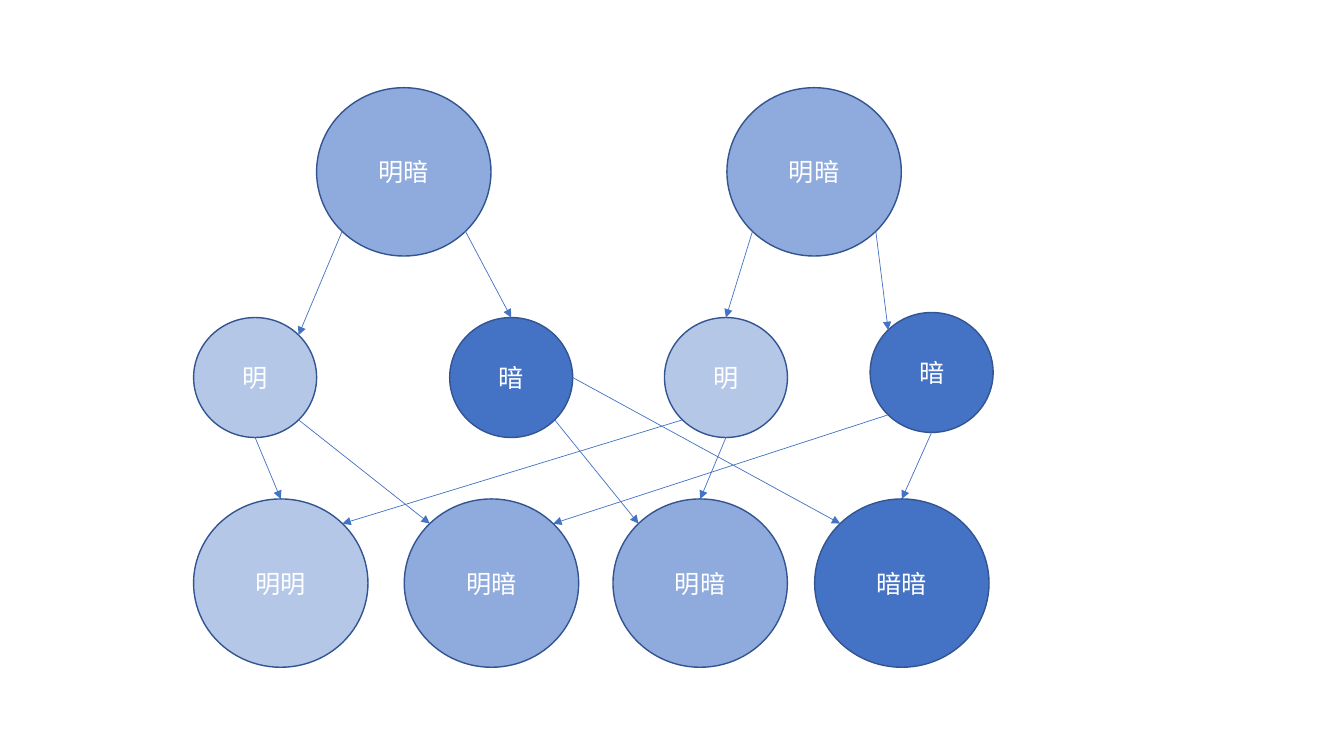
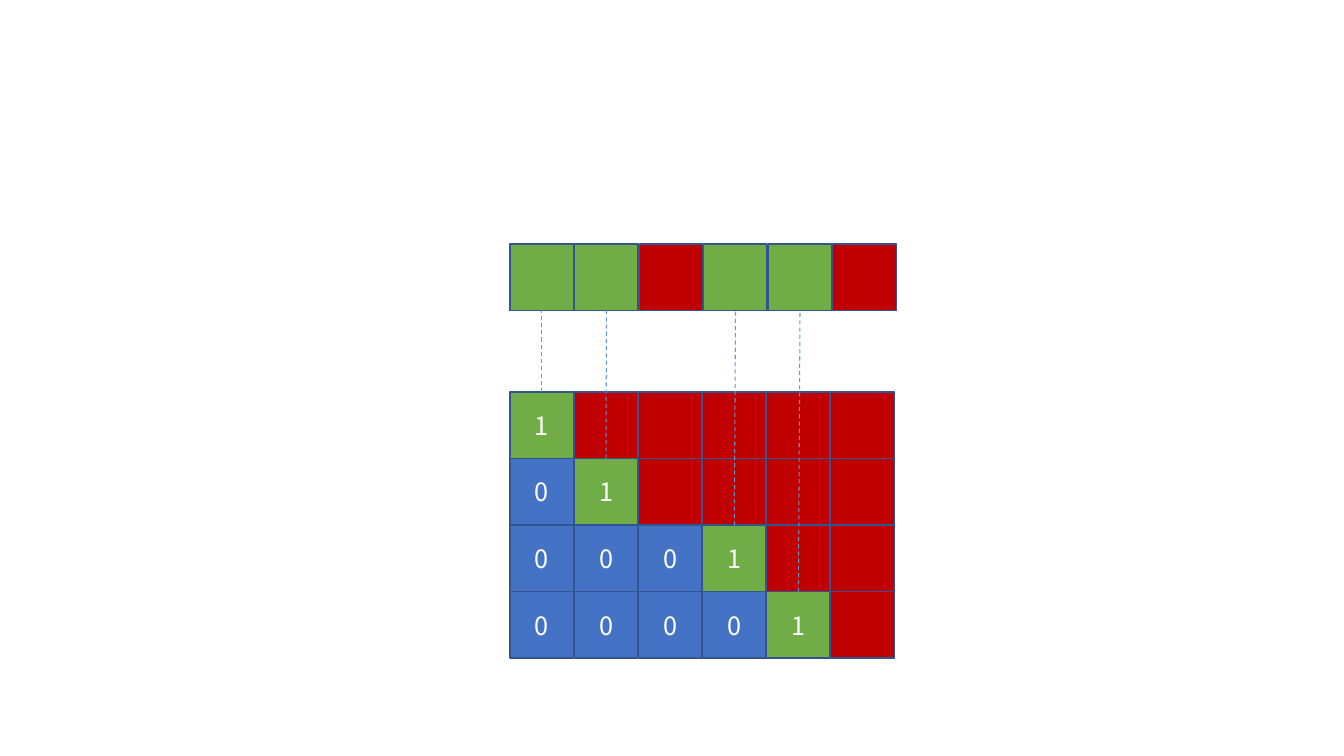
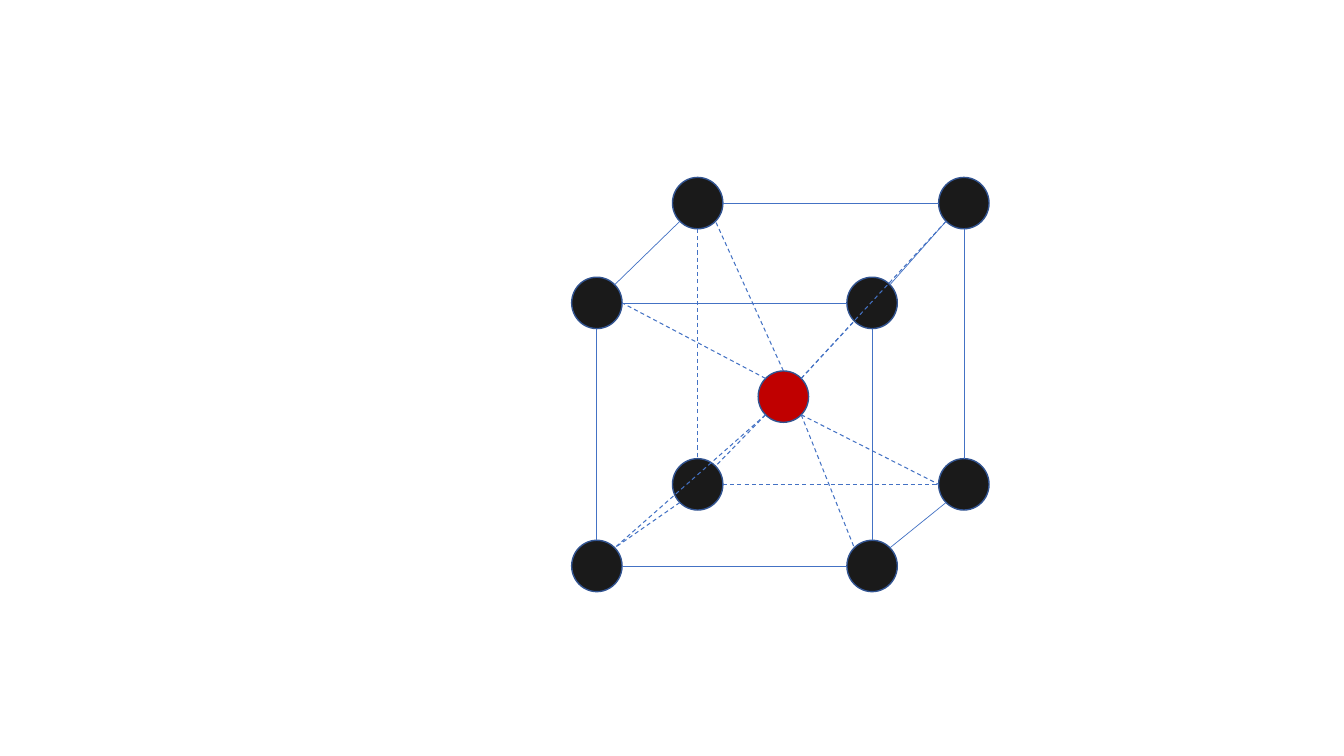
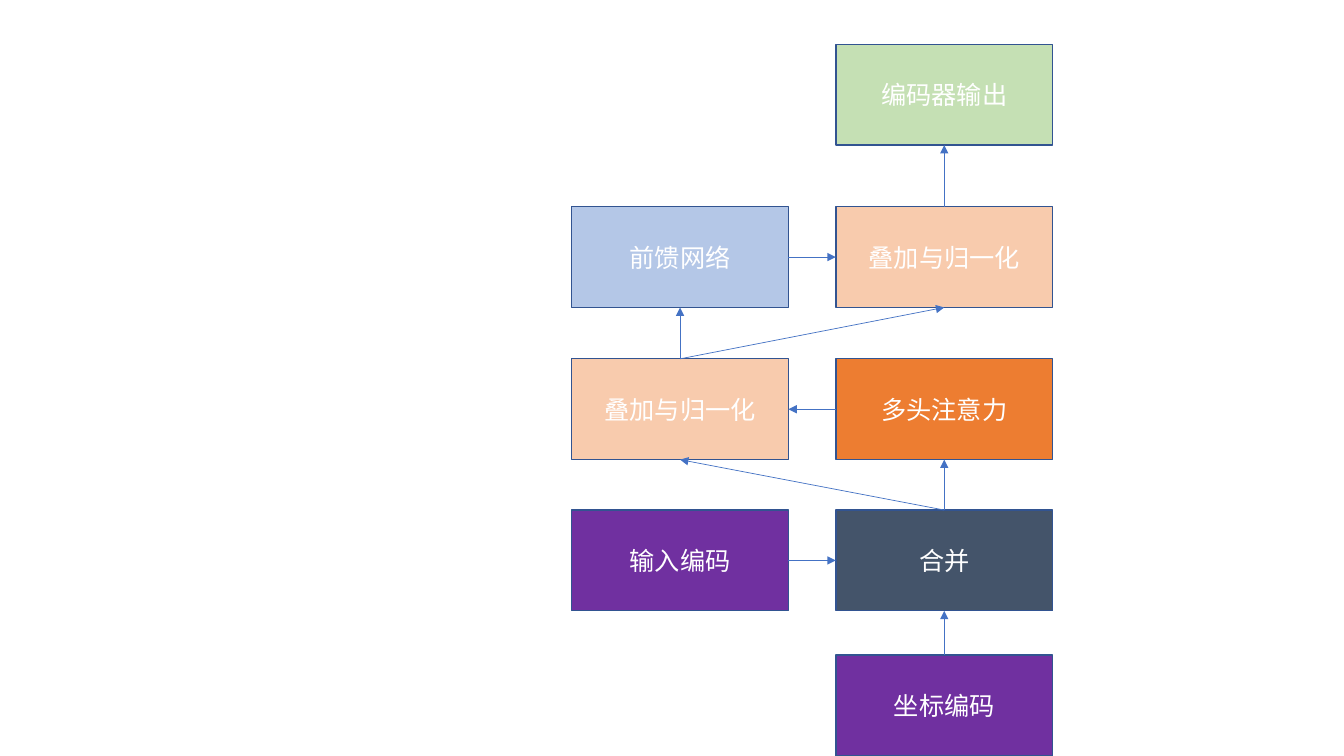
from dataclasses import dataclass
from math import sqrt

from lxml.etree import SubElement
from pptx import Presentation
from pptx.dml.color import RGBColor
from pptx.enum.dml import MSO_LINE
from pptx.enum.shapes import MSO_CONNECTOR, MSO_SHAPE
from pptx.enum.text import MSO_ANCHOR, PP_ALIGN
from pptx.oxml.ns import qn
from pptx.util import Inches, Pt


@dataclass(frozen=True)
class Theme:
    font: str = "Noto Sans CJK SC"
    text_size: float = 18
    outline_width: float = 1
    line_width: float = 0.5
    dash_width: float = 0.75
    white: str = "FFFFFF"
    outline: str = "325491"
    blue: str = "4472C4"
    mid_blue: str = "8FAADC"
    pale_blue: str = "B4C7E7"
    sky: str = "5B9BD5"
    green: str = "70AD47"
    pale_green: str = "C5E0B4"
    red: str = "C00000"
    black: str = "1A1A1A"
    purple: str = "7030A0"
    slate: str = "44546A"
    orange: str = "ED7D31"
    peach: str = "F8CBAD"


@dataclass(frozen=True)
class Box:
    """A region in inches; boxes inside it are placed from its corner."""
    left: float
    top: float
    width: float
    height: float

    def inner(self, x, y, width, height):
        return Box(self.left + x, self.top + y, width, height)


THEME = Theme()
DIAGONAL = sqrt(0.5)

# Direction of each connection site, seen from the centre of a shape
DIRECTIONS = {
    "t": (0, -1), "tl": (-DIAGONAL, -DIAGONAL), "l": (-1, 0),
    "bl": (-DIAGONAL, DIAGONAL), "b": (0, 1), "br": (DIAGONAL, DIAGONAL),
    "r": (1, 0), "tr": (DIAGONAL, -DIAGONAL),
}
SITES = {
    MSO_SHAPE.OVAL: list(DIRECTIONS),
    MSO_SHAPE.RECTANGLE: ["t", "l", "b", "r"],
}


def apply(target, formats):
    for name, value in formats.items():
        setattr(target, name, value)


def add_node(slide, kind, box, fill, label=""):
    """A filled, outlined shape with an optional centred label."""
    node = slide.shapes.add_shape(
        kind, *map(Inches, (box.left, box.top, box.width, box.height)))
    node.shadow.inherit = False
    node.fill.solid()
    node.fill.fore_color.rgb = RGBColor.from_string(fill)
    node.line.color.rgb = RGBColor.from_string(THEME.outline)
    node.line.width = Pt(THEME.outline_width)
    if label:
        frame = node.text_frame
        apply(frame, {"word_wrap": True, "vertical_anchor": MSO_ANCHOR.MIDDLE})
        paragraph = frame.paragraphs[0]
        paragraph.alignment = PP_ALIGN.CENTER
        run = paragraph.add_run()
        run.text = label
        apply(run.font, {"name": THEME.font, "size": Pt(THEME.text_size)})
        run.font.color.rgb = RGBColor.from_string(THEME.white)
        SubElement(run._r.get_or_add_rPr(), qn("a:ea"), typeface=THEME.font)
    return node


def site_point(node, site):
    dx, dy = DIRECTIONS[site]
    return (round(node.left + node.width * (1 + dx) / 2),
            round(node.top + node.height * (1 + dy) / 2))


def join(slide, start, start_site, end, end_site,
         color=THEME.blue, dashed=False, arrow=False):
    """A straight connector glued to one site of each node."""
    link = slide.shapes.add_connector(
        MSO_CONNECTOR.STRAIGHT,
        *site_point(start, start_site), *site_point(end, end_site))
    link.line.color.rgb = RGBColor.from_string(color)
    link.line.width = Pt(THEME.dash_width if dashed else THEME.line_width)
    if dashed:
        link.line.dash_style = MSO_LINE.DASH
    properties = link._element.spPr
    if arrow:
        SubElement(properties.find(qn("a:ln")), qn("a:tailEnd"), type="triangle")
    SubElement(properties, qn("a:effectLst"))
    glue = link._element.find(".//" + qn("p:cNvCxnSpPr"))
    for tag, node, site in (("a:stCxn", start, start_site),
                            ("a:endCxn", end, end_site)):
        SubElement(glue, qn(tag), id=str(node.shape_id),
                   idx=str(SITES[node.auto_shape_type].index(site)))


def inheritance_tree(slide, box):
    """Parents, gametes and offspring, with light and dark genes."""
    fills = {"明": THEME.pale_blue, "暗": THEME.blue, "明明": THEME.pale_blue,
             "明暗": THEME.mid_blue, "暗暗": THEME.blue}
    pair_size, gene_size = (1.73, 1.67), (1.22, 1.19)
    parent_y, gene_y, child_y = 0, 2.28, 4.08
    circles = {
        "parent 1": ("明暗", 1.22, parent_y), "parent 2": ("明暗", 5.29, parent_y),
        "light 1": ("明", 0, gene_y), "dark 1": ("暗", 2.54, gene_y),
        "light 2": ("明", 4.67, gene_y), "dark 2": ("暗", 6.71, gene_y - 0.05),
        "child 1": ("明明", 0, child_y), "child 2": ("明暗", 2.09, child_y),
        "child 3": ("明暗", 4.16, child_y), "child 4": ("暗暗", 6.16, child_y),
    }
    nodes = {}
    for key, (genes, x, y) in circles.items():
        size = pair_size if len(genes) == 2 else gene_size
        nodes[key] = add_node(slide, MSO_SHAPE.OVAL, box.inner(x, y, *size),
                              fills[genes], genes)
    for start, start_site, end, end_site in (
            ("parent 1", "bl", "light 1", "tr"), ("parent 1", "br", "dark 1", "t"),
            ("parent 2", "bl", "light 2", "t"), ("parent 2", "br", "dark 2", "tl"),
            ("light 1", "b", "child 1", "t"), ("light 1", "br", "child 2", "tl"),
            ("dark 1", "br", "child 3", "tl"), ("dark 1", "r", "child 4", "tl"),
            ("dark 2", "b", "child 4", "t"), ("dark 2", "bl", "child 2", "tr"),
            ("light 2", "bl", "child 1", "tr"), ("light 2", "b", "child 3", "t")):
        join(slide, nodes[start], start_site, nodes[end], end_site, arrow=True)


def echelon_matrix(slide, box):
    """Echelon rows below a strip that marks the pivot columns."""
    rows = ("1*****", "01****", "0001**", "00001*")
    fills = {"0": THEME.blue, "1": THEME.green, "*": THEME.red}
    cell_size = (0.63, 0.66)
    column_step = (box.width - cell_size[0]) / 5
    strip_step = 0.64
    row_step = cell_size[1]
    matrix_top = box.height - len(rows) * row_step
    pivots = [row.index("1") for row in rows]

    # Matrix
    cells = {}
    for r, row in enumerate(rows):
        for c, value in enumerate(row):
            place = box.inner(c * column_step, matrix_top + r * row_step, *cell_size)
            cells[r, c] = add_node(slide, MSO_SHAPE.RECTANGLE, place, fills[value],
                                   value.strip("*"))
    # Strip of columns
    strip = [add_node(slide, MSO_SHAPE.RECTANGLE,
                      box.inner(c * strip_step, 0, *cell_size),
                      THEME.green if c in pivots else THEME.red)
             for c in range(len(rows[0]))]
    # Guides from each pivot to its column
    for r, c in enumerate(pivots):
        join(slide, cells[r, c], "t", strip[c], "b", THEME.sky, dashed=True)


def centred_cube(slide, box):
    """A cube of eight nodes with one more node at its centre."""
    node_size = (0.5, 0.51)
    faces = {"front": ((0, 2.73), (0.99, 3.6)), "back": ((1, 3.64), (0, 2.79))}
    corners = {}
    for face, (xs, ys) in faces.items():
        for level, y in zip(("top", "bottom"), ys):
            for side, x in zip(("left", "right"), xs):
                corners[f"{face} {level} {side}"] = add_node(
                    slide, MSO_SHAPE.OVAL, box.inner(x, y, *node_size), THEME.black)
    centre = add_node(slide, MSO_SHAPE.OVAL, box.inner(1.85, 1.92, *node_size),
                      THEME.red)

    # Edges of each face; those at the hidden corner are dashed
    for face in faces:
        hidden = face == "back"
        for level in ("top", "bottom"):
            join(slide, corners[f"{face} {level} left"], "r",
                 corners[f"{face} {level} right"], "l",
                 dashed=hidden and level == "bottom")
        for side in ("left", "right"):
            join(slide, corners[f"{face} top {side}"], "b",
                 corners[f"{face} bottom {side}"], "t",
                 dashed=hidden and side == "left")
    # Edges in depth
    for level, back_sites in (("top", ("bl", "tr")), ("bottom", ("bl", "tr"))):
        for side in ("left", "right"):
            join(slide, corners[f"back {level} {side}"], back_sites[0],
                 corners[f"front {level} {side}"], back_sites[1],
                 dashed=(level, side) == ("bottom", "left"))
    # Spokes from the centre
    for centre_site, corner, corner_site in (
            ("t", "back top left", "br"), ("tl", "front top left", "r"),
            ("bl", "front bottom left", "tr"), ("bl", "back bottom left", "tr"),
            ("tr", "front top right", "bl"), ("tr", "back top right", "bl"),
            ("br", "back bottom right", "l"), ("br", "front bottom right", "tl")):
        join(slide, centre, centre_site, corners[corner], corner_site, dashed=True)


def encoder_flow(slide, box):
    """Two columns of steps, from the encodings up to the output."""
    columns = (0, 2.62)
    row_tops = (0, 1.61, 3.12, 4.62, 6.06)
    step_size = (2.15, 1)
    steps = {
        "output": (1, 0, "编码器输出", THEME.pale_green),
        "feed forward": (0, 1, "前馈网络", THEME.pale_blue),
        "second norm": (1, 1, "叠加与归一化", THEME.peach),
        "first norm": (0, 2, "叠加与归一化", THEME.peach),
        "attention": (1, 2, "多头注意力", THEME.orange),
        "input": (0, 3, "输入编码", THEME.purple),
        "merge": (1, 3, "合并", THEME.slate),
        "position": (1, 4, "坐标编码", THEME.purple),
    }
    nodes = {key: add_node(slide, MSO_SHAPE.RECTANGLE,
                           box.inner(columns[c], row_tops[r], *step_size), fill, label)
             for key, (c, r, label, fill) in steps.items()}
    for start, start_site, end, end_site in (
            ("input", "r", "merge", "l"), ("position", "t", "merge", "b"),
            ("merge", "t", "attention", "b"), ("merge", "t", "first norm", "b"),
            ("attention", "l", "first norm", "r"),
            ("first norm", "t", "feed forward", "b"),
            ("first norm", "t", "second norm", "b"),
            ("feed forward", "r", "second norm", "l"),
            ("second norm", "t", "output", "b")):
        join(slide, nodes[start], start_site, nodes[end], end_site, arrow=True)


presentation = Presentation()
apply(presentation, {"slide_width": Inches(13.33), "slide_height": Inches(7.5)})
blank_layout = presentation.slide_layouts[6]
for draw, region in (
        (inheritance_tree, Box(1.92, 0.87, 7.93, 5.75)),
        (echelon_matrix, Box(5.06, 2.42, 3.81, 4.11)),
        (centred_cube, Box(5.67, 1.76, 4.14, 4.11)),
        (encoder_flow, Box(5.67, 0.44, 4.77, 7.06))):
    draw(presentation.slides.add_slide(blank_layout), region)
presentation.save("out.pptx")
